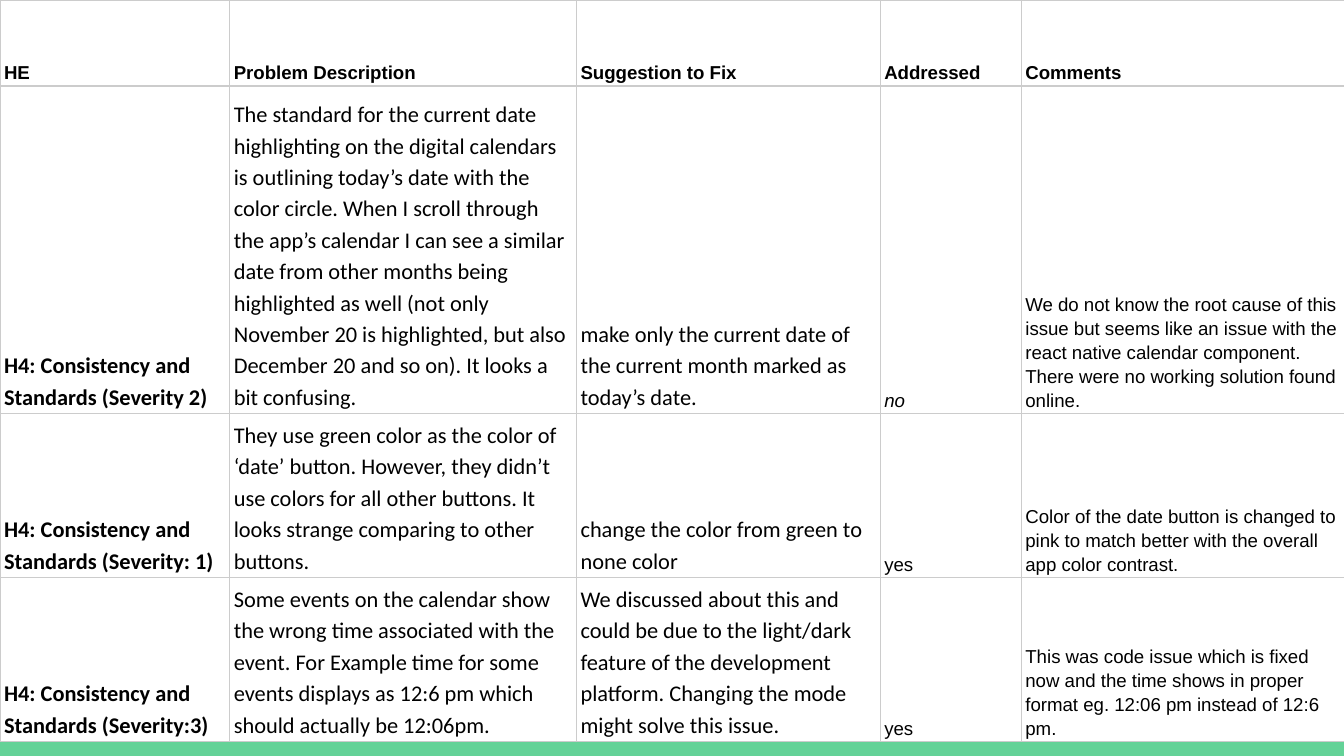
from lxml.etree import SubElement
from pptx import Presentation
from pptx.dml.color import RGBColor
from pptx.enum.shapes import MSO_SHAPE
from pptx.enum.text import MSO_ANCHOR
from pptx.oxml.ns import qn
from pptx.util import Inches, Pt

WHITE = RGBColor(0xFF, 0xFF, 0xFF)
BLACK = RGBColor(0x00, 0x00, 0x00)
GREEN = RGBColor(0x63, 0xD2, 0x97)
GRID_GRAY = RGBColor(0xCC, 0xCC, 0xCC)

# Widescreen slide
SLIDE_WIDTH = 10
SLIDE_HEIGHT = SLIDE_WIDTH * 9 / 16
BAR_TOP = 5.52
COLUMN_WIDTHS = [1.71, 2.58, 2.26, 1.05, 2.43]
ROW_HEIGHTS = [0.64, 2.44, 1.22, 1.22]

HEADINGS = ["HE", "Problem Description", "Suggestion to Fix", "Addressed", "Comments"]
FINDINGS = [
    [
        "H4: Consistency and Standards (Severity 2)",
        "The standard for the current date highlighting on the digital calendars "
        "is outlining today’s date with the color circle. When I scroll through "
        "the app’s calendar I can see a similar date from other months being "
        "highlighted as well (not only November 20 is highlighted, but also "
        "December 20 and so on). It looks a bit confusing.",
        "make only the current date of the current month marked as today’s date.",
        "no",
        "We do not know the root cause of this issue but seems like an issue with "
        "the react native calendar component. There were no working solution "
        "found online.",
    ],
    [
        "H4: Consistency and Standards (Severity: 1)",
        "They use green color as the color of ‘date’ button. However, they didn’t "
        "use colors for all other buttons. It looks strange comparing to other "
        "buttons.",
        "change the color from green to none color",
        "yes",
        "Color of the date button is changed to pink to match better with the "
        "overall app color contrast.",
    ],
    [
        "H4: Consistency and Standards (Severity:3)",
        "Some events on the calendar show the wrong time associated with the "
        "event. For Example time for some events displays as 12:6 pm which should "
        "actually be 12:06pm.",
        "We discussed about this and could be due to the light/dark feature of the "
        "development platform. Changing the mode might solve this issue.",
        "yes",
        "This was code issue which is fixed now and the time shows in proper "
        "format eg. 12:06 pm instead of 12:6 pm.",
    ],
]


def add_borders(cell):
    """Draw a thin gray line on all four sides of a cell."""
    properties = cell._tc.get_or_add_tcPr()
    for position, side in enumerate(("a:lnL", "a:lnR", "a:lnT", "a:lnB")):
        line = SubElement(properties, qn(side), w=str(Pt(0.75)))
        fill = SubElement(line, qn("a:solidFill"))
        SubElement(fill, qn("a:srgbClr"), val=str(GRID_GRAY))
        # Borders must come before the cell's fill
        properties.insert(position, line)


def write_cell(cell, text, font_name, size, bold=False, italic=False):
    cell.fill.background()
    add_borders(cell)
    cell.vertical_anchor = MSO_ANCHOR.BOTTOM
    cell.margin_left = cell.margin_right = Inches(0.03)
    cell.margin_top = cell.margin_bottom = Inches(0.02)
    cell.text = text
    paragraph = cell.text_frame.paragraphs[0]
    paragraph.line_spacing = 1.15
    font = paragraph.font
    font.name, font.size = font_name, Pt(size)
    font.bold, font.italic = bold, italic
    font.color.rgb = BLACK


def add_findings_table(slide):
    findings = slide.shapes.add_table(
        len(ROW_HEIGHTS), len(COLUMN_WIDTHS), 0, 0,
        Inches(sum(COLUMN_WIDTHS)), Inches(sum(ROW_HEIGHTS)),
    ).table
    findings.first_row = findings.horz_banding = False
    for column, width in zip(findings.columns, COLUMN_WIDTHS):
        column.width = Inches(width)
    for row, height in zip(findings.rows, ROW_HEIGHTS):
        row.height = Inches(height)

    # Header row
    for col, heading in enumerate(HEADINGS):
        write_cell(findings.cell(0, col), heading, "Arial", 10, bold=True)

    # Reviewers' words in Calibri, the team's answers in Arial
    for row, finding in enumerate(FINDINGS, start=1):
        for col, text in enumerate(finding):
            font_name, size = ("Calibri", 12) if col < 3 else ("Arial", 10)
            write_cell(findings.cell(row, col), text, font_name, size,
                       bold=col == 0, italic=text == "no")


def add_bottom_bar(slide):
    bar = slide.shapes.add_shape(
        MSO_SHAPE.RECTANGLE, 0, Inches(BAR_TOP),
        Inches(SLIDE_WIDTH), Inches(SLIDE_HEIGHT - BAR_TOP),
    )
    bar.shadow.inherit = False
    bar.fill.solid()
    bar.fill.fore_color.rgb = GREEN
    bar.line.fill.background()


def main():
    deck = Presentation()
    deck.slide_width, deck.slide_height = Inches(SLIDE_WIDTH), Inches(SLIDE_HEIGHT)
    slide = deck.slides.add_slide(deck.slide_layouts[6])
    slide.background.fill.solid()
    slide.background.fill.fore_color.rgb = WHITE
    add_bottom_bar(slide)
    add_findings_table(slide)
    deck.save("out.pptx")


if __name__ == "__main__":
    main()
